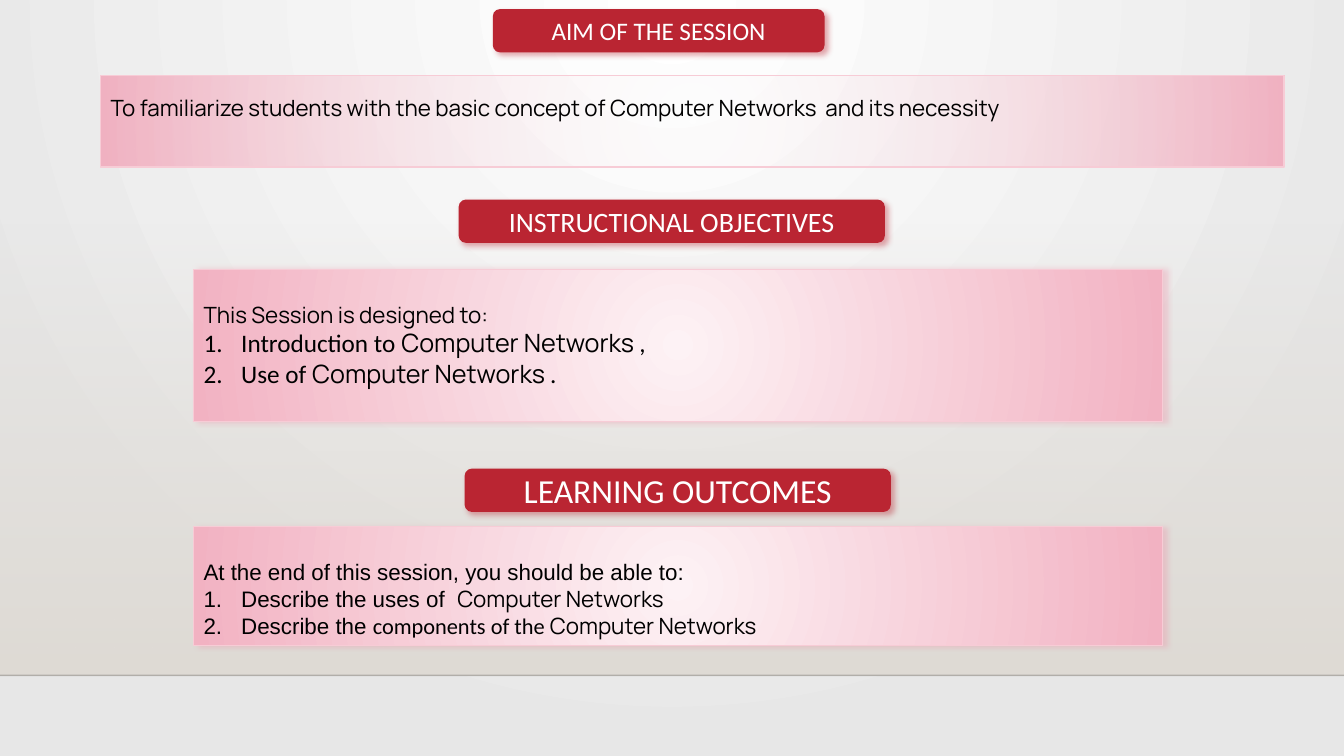
import pptx
import pptx.util
import pptx.dml.color
import pptx.enum.shapes
import pptx.enum.text
import pptx.oxml
import pptx.oxml.ns

Cm, Pt = pptx.util.Cm, pptx.util.Pt
RGBColor = pptx.dml.color.RGBColor
MSO_SHAPE = pptx.enum.shapes.MSO_SHAPE
MSO_ANCHOR = pptx.enum.text.MSO_ANCHOR
PP_ALIGN = pptx.enum.text.PP_ALIGN
qn = pptx.oxml.ns.qn
NS = pptx.oxml.ns.nsdecls("a")

WHITE = RGBColor(0xFF, 0xFF, 0xFF)
BLACK = RGBColor(0x00, 0x00, 0x00)
LIGHT_GREY = RGBColor(0xE7, 0xE7, 0xE7)
STONE = RGBColor(0xDF, 0xDB, 0xD5)
RULE = RGBColor(0x00, 0x00, 0x01)
CRIMSON = RGBColor(0xBA, 0x25, 0x32)
PALE_PINK = RGBColor(0xFD, 0xF2, 0xF5)
PINK = RGBColor(0xF2, 0xB2, 0xC2)
PINK_EDGE = RGBColor(0xF7, 0xCC, 0xD6)
PINK_SHADOW = RGBColor(0xEE, 0x99, 0xAD)

LINEAR_DOWN = '<a:lin ang="5400000" scaled="0"/>'
FROM_CENTRE = '<a:path path="circle"><a:fillToRect l="50000" t="50000" r="50000" b="50000"/></a:path>'
FROM_TOP = '<a:path path="circle"><a:fillToRect l="43000" r="43000" b="100000"/></a:path>'


def set_gradient(properties, start, end, direction, start_alpha=100):
    """Swap the empty fill of a shape or background for a two-stop gradient."""
    gradient = pptx.oxml.parse_xml(
        f'<a:gradFill {NS} rotWithShape="1"><a:gsLst>'
        f'<a:gs pos="0"><a:srgbClr val="{start}"><a:alpha val="{start_alpha * 1000}"/></a:srgbClr></a:gs>'
        f'<a:gs pos="100000"><a:srgbClr val="{end}"/></a:gs>'
        f'</a:gsLst>{direction}</a:gradFill>')
    properties.replace(properties.find(qn("a:noFill")), gradient)


def set_shadow(shape, color, angle):
    shape.shadow.inherit = False
    shape._element.spPr.find(qn("a:effectLst")).append(pptx.oxml.parse_xml(
        f'<a:outerShdw {NS} blurRad="{Pt(4)}" dist="{Pt(3)}" dir="{angle * 60000}" '
        f'algn="ctr" rotWithShape="0"><a:srgbClr val="{color}"><a:alpha val="40000"/>'
        '</a:srgbClr></a:outerShdw>'))


prs = pptx.Presentation()
prs.slide_width, prs.slide_height = Cm(33.87), Cm(19.05)
slide = prs.slides.add_slide(prs.slide_layouts[6])

# Background, lower haze and floor line
slide.background.fill.background()
set_gradient(slide.element.find(".//" + qn("p:bgPr")), WHITE, LIGHT_GREY, FROM_TOP)

haze = slide.shapes.add_shape(MSO_SHAPE.RECTANGLE, 0, Cm(5.61), prs.slide_width, Cm(11.41))
haze.shadow.inherit = False
haze.line.fill.background()
haze.fill.background()
set_gradient(haze._element.spPr, STONE, STONE, LINEAR_DOWN, start_alpha=0)

floor = slide.shapes.add_connector(
    pptx.enum.shapes.MSO_CONNECTOR.STRAIGHT, 0, Cm(17.02), prs.slide_width, Cm(17.02))
floor.line.width = Pt(1)
floor.line.color.rgb = RULE
floor_properties = floor._element.spPr
floor_properties.find(".//" + qn("a:srgbClr")).append(
    pptx.oxml.parse_xml(f'<a:alpha {NS} val="20000"/>'))
floor_properties.append(pptx.oxml.parse_xml(f"<a:effectLst {NS}/>"))

# Sections: heading (text, size, left, top, width), then panel
# (left, top, width, height, first line spacing, centre opacity, shadow)
# and paragraphs as lists of (text, font, size); all but the first are numbered
sections = [
    (("AIM OF THE SESSION", 18, 12.42, 0.23, 8.36),
     (2.54, 1.9, 29.82, 2.31, 1.5, 0, False),
     [[("To familiarize students with the basic concept of Computer Networks  and its necessity",
        "Manrope", 16)]]),
    (("INSTRUCTIONAL OBJECTIVES", 20, 11.56, 5.03, 10.74),
     (4.88, 6.78, 24.41, 3.84, 2, 100, True),
     [[("This Session is designed to:", "Manrope", 16)],
      [("Introduction to ", "Calibri", 18), ("Computer Networks ", "Manrope", 18),
       (",", "Calibri", 18)],
      [("Use of ", "Calibri", 18), ("Computer Networks ", "Manrope", 18),
       (".", "Calibri", 18)]]),
    (("LEARNING OUTCOMES", 24, 11.71, 11.81, 10.74),
     (4.88, 13.26, 24.41, 3, 2, 100, True),
     [[("At the end of this session, you should be able to:", "Arial", 16)],
      [("Describe the uses of  ", "Arial", 16), ("Computer Networks", "Manrope", 16)],
      [("Describe the ", "Arial", 16), ("components of the ", "Calibri", 16),
       ("Computer Networks", "Manrope", 16)]]),
]

for heading_data, panel_data, paragraphs in sections:
    # Red heading
    title, size, left, top, width = heading_data
    heading = slide.shapes.add_shape(
        MSO_SHAPE.ROUNDED_RECTANGLE, Cm(left), Cm(top), Cm(width), Cm(1.09))
    heading.fill.solid()
    heading.fill.fore_color.rgb = CRIMSON
    heading.line.fill.background()
    set_shadow(heading, CRIMSON, 45)
    heading.text_frame.vertical_anchor = MSO_ANCHOR.MIDDLE
    heading_line = heading.text_frame.paragraphs[0]
    heading_line.alignment = PP_ALIGN.CENTER
    run = heading_line.add_run()
    run.text = title
    run.font.name, run.font.size = "Calibri", Pt(size)
    run.font.color.rgb = WHITE

    # Pink panel
    left, top, width, height, spacing, opacity, shadowed = panel_data
    panel = slide.shapes.add_shape(
        MSO_SHAPE.RECTANGLE, Cm(left), Cm(top), Cm(width), Cm(height))
    panel.fill.background()
    set_gradient(panel._element.spPr, PALE_PINK, PINK, FROM_CENTRE, opacity)
    panel.line.color.rgb = PINK_EDGE
    panel.line.width = Pt(0.75)
    if shadowed:
        set_shadow(panel, PINK_SHADOW, 0)
    else:
        panel.shadow.inherit = False

    # Panel text
    frame = panel.text_frame
    frame.word_wrap = True
    frame.vertical_anchor = MSO_ANCHOR.TOP
    for index, runs in enumerate(paragraphs):
        paragraph = frame.add_paragraph() if index else frame.paragraphs[0]
        paragraph.alignment = PP_ALIGN.LEFT
        if index:
            numbering = paragraph._p.get_or_add_pPr()
            numbering.set("marL", str(Cm(0.95)))
            numbering.set("indent", str(-Cm(0.95)))
            numbering.append(pptx.oxml.parse_xml(f'<a:buFont {NS} typeface="+mj-lt"/>'))
            numbering.append(pptx.oxml.parse_xml(f'<a:buAutoNum {NS} type="arabicPeriod"/>'))
        else:
            paragraph.line_spacing = float(spacing)
        for text, font, size in runs:
            run = paragraph.add_run()
            run.text = text
            run.font.name, run.font.size = font, Pt(size)
            run.font.color.rgb = BLACK

prs.save("out.pptx")
